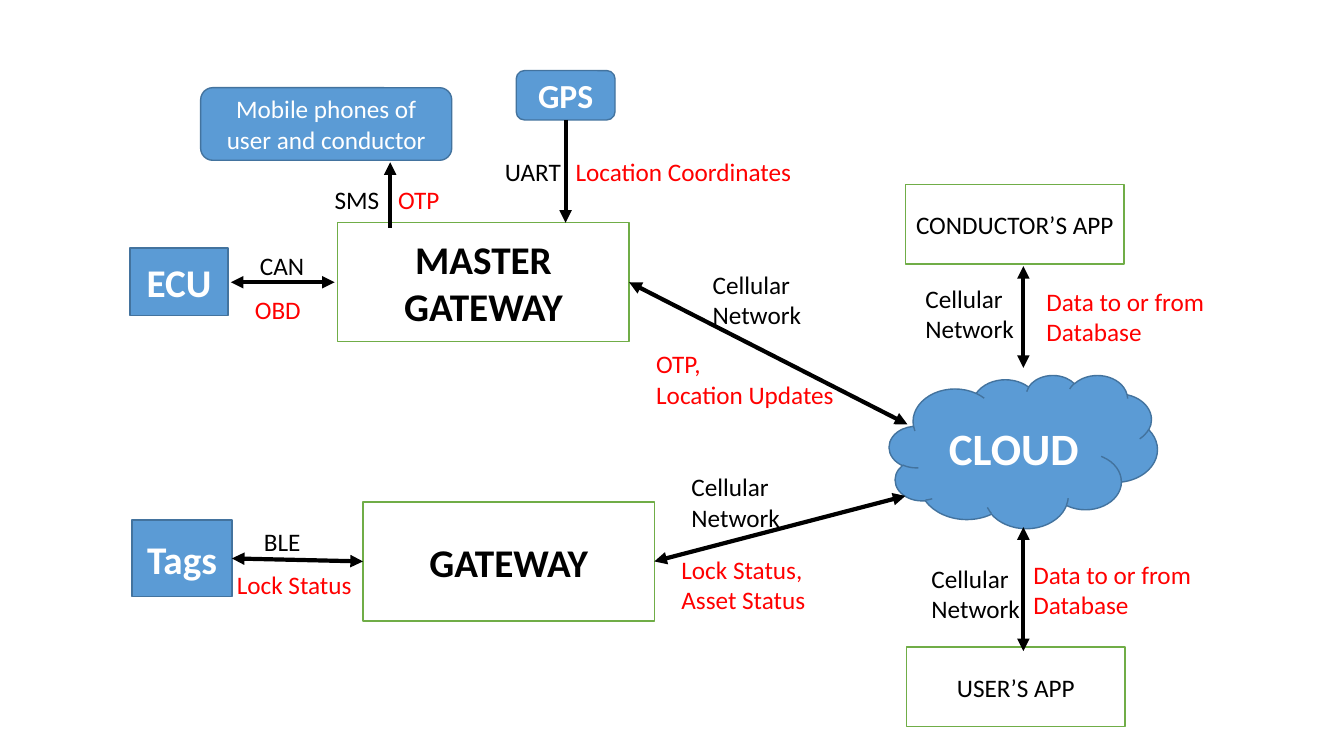
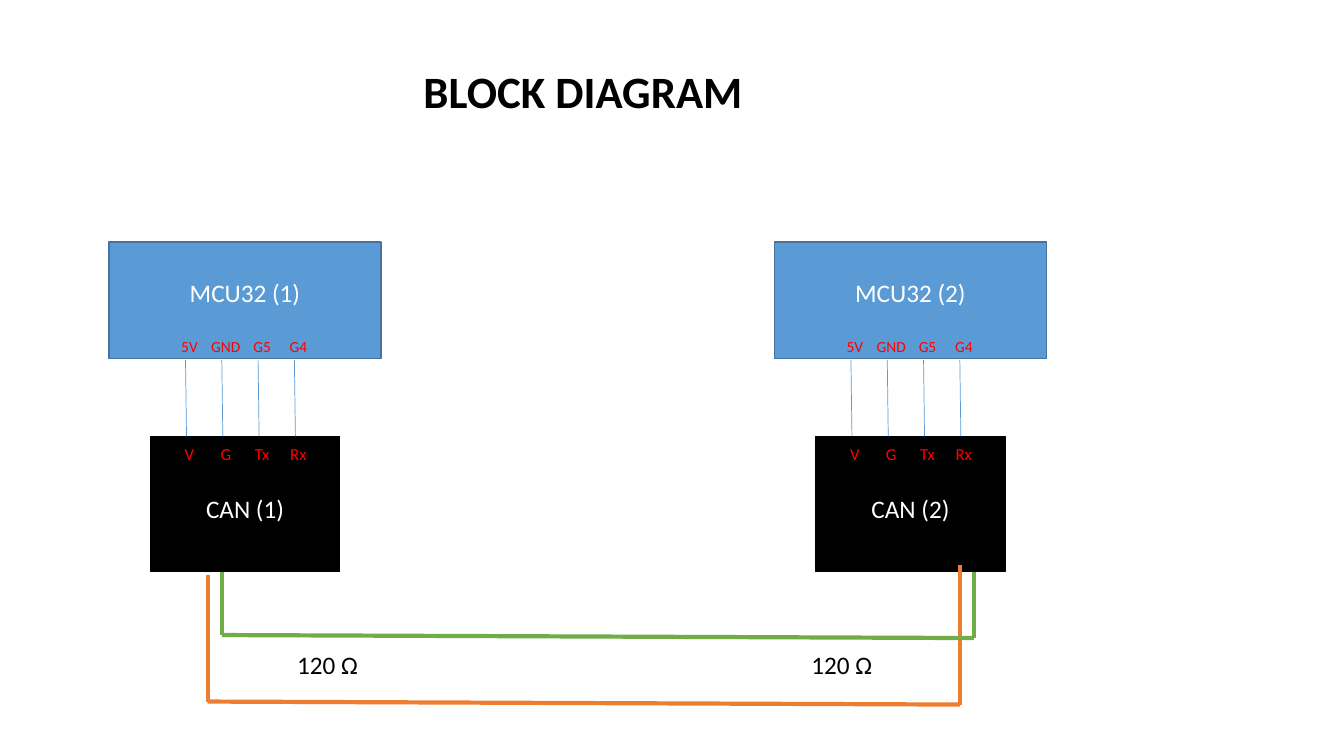
from lxml import etree
from pptx import Presentation
from pptx.dml.color import RGBColor
from pptx.enum import shapes, text
from pptx.oxml import ns
from pptx.util import Inches, Pt

BLACK = RGBColor(0x00, 0x00, 0x00)
WHITE = RGBColor(0xFF, 0xFF, 0xFF)
RED = RGBColor(0xFF, 0x00, 0x00)
BLUE = RGBColor(0x5B, 0x9B, 0xD5)
BLUE_EDGE = RGBColor(0x43, 0x73, 0x9E)
GREEN = RGBColor(0x70, 0xAD, 0x47)
ORANGE = RGBColor(0xED, 0x7D, 0x31)
FONT = "Calibri"
TITLE_ONLY, BLANK = 5, 6
RECT = shapes.MSO_SHAPE.RECTANGLE
ROUNDED = shapes.MSO_SHAPE.ROUNDED_RECTANGLE
CLOUD = shapes.MSO_SHAPE.CLOUD
TOP, LEFT, BOTTOM, RIGHT = range(4)
BLUE_STYLE = (BLUE, BLUE_EDGE, WHITE)
GREEN_STYLE = (WHITE, GREEN, BLACK)
BLACK_STYLE = (BLACK, BLACK, WHITE)


def write(frame, lines, size, color, bold=False, align=text.PP_ALIGN.LEFT):
    frame.word_wrap = True
    for index, line in enumerate(lines):
        para = frame.paragraphs[0] if index == 0 else frame.add_paragraph()
        para.alignment = align
        span = para.add_run()
        span.text = line
        span.font.name = FONT
        span.font.size = Pt(size)
        span.font.bold = bold
        span.font.color.rgb = color


class Region:
    def __init__(self, page, left, top):
        self.page, self.left, self.top = page, left, top

    def place(self, x, y):
        return Inches(self.left + x), Inches(self.top + y)

    def block(self, x, y, width, height, lines, style, size=18, bold=False, kind=RECT):
        fill, edge, ink = style
        box = self.page.shapes.add_shape(kind, *self.place(x, y), Inches(width), Inches(height))
        box.shadow.inherit = False
        box.fill.solid()
        box.fill.fore_color.rgb = fill
        box.line.color.rgb = edge
        box.line.width = Pt(1)
        box.text_frame.vertical_anchor = text.MSO_ANCHOR.MIDDLE
        write(box.text_frame, lines, size, ink, bold, text.PP_ALIGN.CENTER)
        return box

    def label(self, x, y, width, lines, color=BLACK, size=18, align=text.PP_ALIGN.LEFT):
        box = self.page.shapes.add_textbox(*self.place(x, y), Inches(width), Inches(0.4))
        write(box.text_frame, lines, size, color, align=align)
        return box

    def line(self, start, end, color=BLACK, width=3, arrows=()):
        link = self.page.shapes.add_connector(
            shapes.MSO_CONNECTOR.STRAIGHT, *self.place(*start), *self.place(*end))
        link.line.color.rgb = color
        link.line.width = Pt(width)
        outline = link.line._get_or_add_ln()
        for arrow in arrows:
            etree.SubElement(outline, ns.qn("a:" + arrow), type="triangle")
        etree.SubElement(link._element.spPr, ns.qn("a:effectLst"))
        return link


ONE_WAY = ("tailEnd",)
TWO_WAY = ("headEnd", "tailEnd")


def add_master_region(page, left, top):
    region = Region(page, left, top)
    region.block(0, 1.76, 0.97, 0.67, ["ECU"], BLUE_STYLE, 28, True)
    master = region.block(2.06, 1.51, 2.89, 1.18, ["MASTER", "GATEWAY"], GREEN_STYLE, 28, True)
    region.block(0.7, 0.17, 2.49, 0.72, ["Mobile phones of user and conductor"],
                 BLUE_STYLE, kind=ROUNDED)
    gps = region.block(3.83, 0, 0.98, 0.49, ["GPS"], BLUE_STYLE, 24, True, ROUNDED)
    region.line((1, 2.1), (2.03, 2.1), arrows=TWO_WAY)
    region.line((2.58, 1.56), (2.58, 0.91), arrows=ONE_WAY)
    feed = region.line((4.32, 0.49), (4.32, 1.51), arrows=ONE_WAY)
    feed.begin_connect(gps, BOTTOM)
    for x, y, width, name, color in (
            (1.19, 1.73, 0.8, "CAN", BLACK), (1.14, 2.17, 0.8, "OBD", RED),
            (1.93, 1.08, 0.8, "SMS", BLACK), (2.56, 1.08, 0.87, "OTP", RED),
            (3.62, 0.8, 0.9, "UART", BLACK), (4.32, 0.8, 2.47, "Location Coordinates", RED)):
        region.label(x, y, width, [name], color)
    return master


def add_tag_region(page, left, top):
    region = Region(page, left, top)
    tags = region.block(0, 0.18, 0.99, 0.76, ["Tags"], BLUE_STYLE, 28, True)
    gateway = region.block(2.29, 0, 2.89, 1.18, ["GATEWAY"], GREEN_STYLE, 28, True)
    link = region.line((0.99, 0.56), (2.29, 0.59), arrows=TWO_WAY)
    link.begin_connect(tags, RIGHT)
    link.end_connect(gateway, LEFT)
    region.label(1.21, 0.19, 0.7, ["BLE"])
    region.label(0.94, 0.62, 1.41, ["Lock Status"], RED)
    return gateway


def add_cloud_region(page, left, top):
    region = Region(page, left, top)
    region.block(0.16, 0, 2.17, 0.79, ["CONDUCTOR’S APP"], GREEN_STYLE)
    region.block(0, 1.89, 2.66, 1.52, ["CLOUD"], BLUE_STYLE, 32, True, CLOUD)
    region.block(0.17, 4.59, 2.17, 0.79, ["USER’S APP"], GREEN_STYLE)
    for start, end in ((0.81, 1.82), (3.4, 4.63)):
        region.line((1.33, start), (1.33, end), arrows=TWO_WAY)
    for x, y in ((0.26, 0.93), (0.32, 3.71)):
        region.label(x, y, 1.67, ["Cellular Network"])
    for x, y in ((1.46, 0.96), (1.33, 3.67)):
        region.label(x, y, 2.11, ["Data to or from Database"], RED)


def add_uplink(page, gateway, end, network_at, data_at, data):
    region = Region(page, 0, 0)
    link = region.line((0, 0), end, arrows=TWO_WAY)
    link.begin_connect(gateway, RIGHT)
    region.label(*network_at, 1.67, ["Cellular Network"])
    region.label(*data_at, 2.13, data, RED)


def build_network(deck):
    page = deck.slides.add_slide(deck.slide_layouts[BLANK])
    gateway = add_tag_region(page, 1.31, 4.98)
    add_cloud_region(page, 8.82, 1.83)
    master = add_master_region(page, 1.29, 0.7)
    add_uplink(page, master, (9, 4.21), (6.97, 2.62), (6.41, 3.41), ["OTP,", "Location Updates"])
    add_uplink(page, gateway, (8.98, 4.92), (6.76, 4.63), (6.66, 5.45),
               ["Lock Status,", "Asset Status"])


def add_title(page, left, top, width, height, name):
    title = page.shapes.title
    title.left, title.top = Inches(left), Inches(top)
    title.width, title.height = Inches(width), Inches(height)
    title.text_frame.auto_size = text.MSO_AUTO_SIZE.NONE
    title.text_frame.vertical_anchor = text.MSO_ANCHOR.TOP
    write(title.text_frame, [name], 32, BLACK, True)


def add_node(page, left, top, number):
    region = Region(page, left, top)
    board = region.block(0, 0, 2.7, 1.16, [f"MCU32 ({number})"], BLUE_STYLE)
    board.text_frame.margin_bottom = Inches(0.21)
    module = region.block(0.41, 1.93, 1.88, 1.34, [f"CAN ({number})"], BLACK_STYLE)
    module.text_frame.margin_top = Inches(0.13)
    pins = (("5V", "V"), ("GND", "G"), ("G5", "Tx"), ("G4", "Rx"))
    for index, (board_pin, module_pin) in enumerate(pins):
        x = 0.76 + 0.36 * index
        region.line((x, 1.17), (x + 0.01, 1.93), BLUE, 0.5)
        for name, y, size in ((board_pin, 0.9, 11), (module_pin, 1.95, 12)):
            pin = region.label(x - 0.26, y, 0.6, [name], RED, size, text.PP_ALIGN.CENTER)
            pin.text_frame.margin_left = pin.text_frame.margin_right = 0
            pin.height = Inches(0.28)


def add_bus_wire(page, corners, color):
    region = Region(page, 0, 0)
    for start, end in zip(corners, corners[1:]):
        region.line(start, end, color)


def build_block_diagram(deck):
    page = deck.slides.add_slide(deck.slide_layouts[TITLE_ONLY])
    add_title(page, 4.1, 0.58, 3.6, 0.64, "BLOCK DIAGRAM")
    for number, left in enumerate((1.08, 7.68), 1):
        add_node(page, left, 2.4, number)
    add_bus_wire(page, ((2.06, 5.7), (2.06, 6.96), (9.52, 6.99), (9.52, 5.61)), ORANGE)
    add_bus_wire(page, ((2.2, 5.67), (2.2, 6.3), (9.66, 6.33), (9.66, 5.67)), GREEN)
    for left in (2.85, 7.95):
        Region(page, left, 6.39).label(0, 0, 1, ["120 Ω"])


def main():
    deck = Presentation()
    deck.slide_width, deck.slide_height = Inches(13.33), Inches(7.5)
    build_network(deck)
    build_block_diagram(deck)
    deck.save("out.pptx")


if __name__ == "__main__":
    main()
